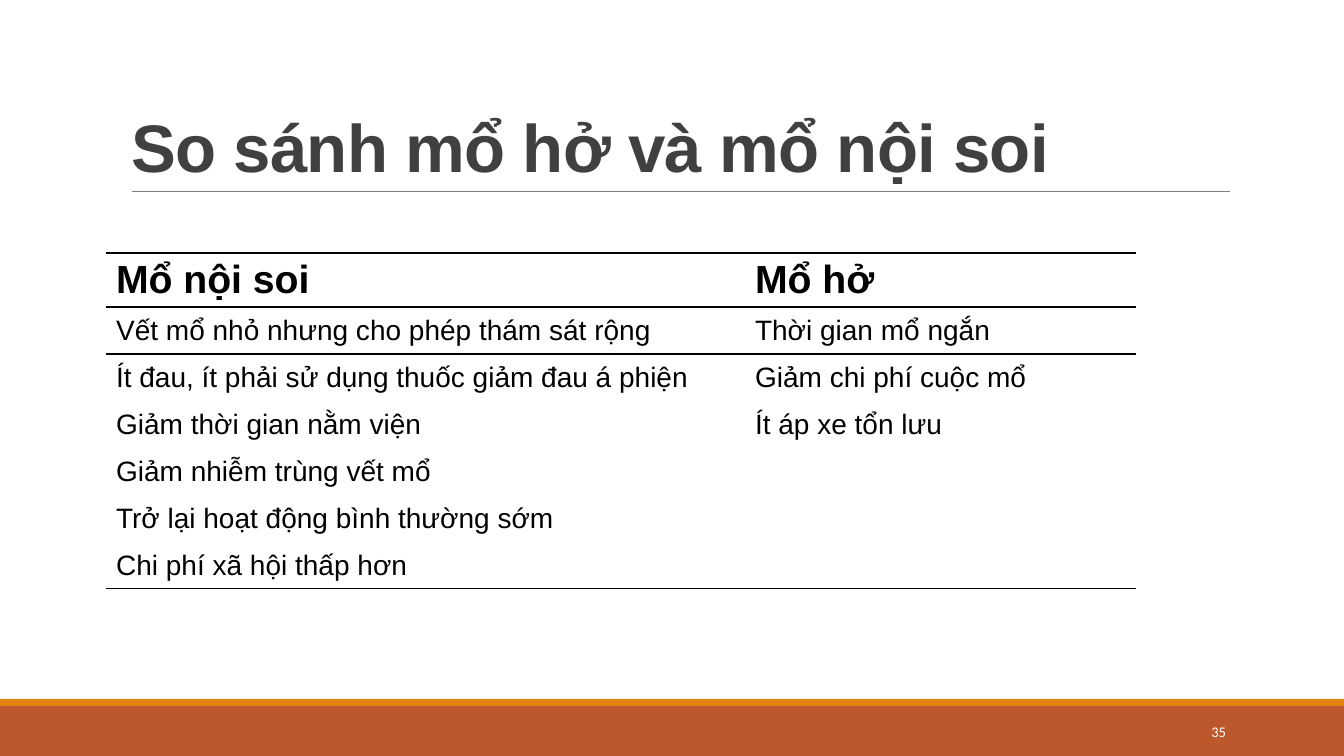
from lxml import etree
from pptx import Presentation
from pptx import util as u
from pptx.dml.color import RGBColor
from pptx.enum import shapes, text
from pptx.oxml import ns

SCALE = 12192000 / 1344  # EMU per px
WIDTH, HEIGHT = 1344, 756

BLACK = RGBColor(0x00, 0x00, 0x00)
WHITE = RGBColor(0xFF, 0xFF, 0xFF)
CHARCOAL = RGBColor(0x40, 0x40, 0x40)
GREY = RGBColor(0x80, 0x80, 0x80)
RUST = RGBColor(0xBD, 0x58, 0x2C)
ORANGE = RGBColor(0xE4, 0x83, 0x12)

HEADINGS = ("Mổ nội soi", "Mổ hở")
ROWS = [
    ("Vết mổ nhỏ nhưng cho phép thám sát rộng", "Thời gian mổ ngắn"),
    ("Ít đau, ít phải sử dụng thuốc giảm đau á phiện", "Giảm chi phí cuộc mổ"),
    ("Giảm thời gian nằm viện", "Ít áp xe tổn lưu"),
    ("Giảm nhiễm trùng vết mổ", ""),
    ("Trở lại hoạt động bình thường sớm", ""),
    ("Chi phí xã hội thấp hơn", ""),
]


def px(length):
    return u.Emu(round(length * SCALE))


class SlideBuilder:
    font = "Arial"

    def __init__(self, deck):
        self.page = deck.slides.add_slide(deck.slide_layouts[5])

    def add_span(self, para, words, size, color, bold=False, font=None):
        span = para.add_run()
        span.text = words
        span.font.name = font or self.font
        span.font.size = u.Pt(size)
        span.font.bold = bold
        span.font.color.rgb = color
        return span

    def band(self, left, top, width, height, color):
        bar = self.page.shapes.add_shape(
            shapes.MSO_SHAPE.RECTANGLE, px(left), px(top), px(width), px(height))
        bar.shadow.inherit = False
        bar.fill.solid()
        bar.fill.fore_color.rgb = color
        bar.line.fill.background()

    def rule(self, left, right, y, color, weight):
        line = self.page.shapes.add_connector(
            shapes.MSO_CONNECTOR.STRAIGHT, px(left), px(y), px(right), px(y))
        line.line.color.rgb = color
        line.line.width = u.Pt(weight)
        etree.SubElement(line._element.spPr, ns.qn("a:effectLst"))

    def title(self, left, top, width, height, words):
        box = self.page.shapes.title
        box.left, box.top, box.width, box.height = map(px, (left, top, width, height))
        frame = box.text_frame
        frame.auto_size = text.MSO_AUTO_SIZE.NONE
        frame.vertical_anchor = text.MSO_ANCHOR.BOTTOM
        para = frame.paragraphs[0]
        para.alignment = text.PP_ALIGN.LEFT
        para.line_spacing = 0.85
        span = self.add_span(para, words, 48, CHARCOAL, bold=True)
        span.font._element.set("spc", "-50")

    def label(self, left, top, width, height, words):
        box = self.page.shapes.add_textbox(px(left), px(top), px(width), px(height))
        frame = box.text_frame
        frame.word_wrap = True
        frame.vertical_anchor = text.MSO_ANCHOR.MIDDLE
        para = frame.paragraphs[0]
        para.alignment = text.PP_ALIGN.RIGHT
        self.add_span(para, words, 10.5, WHITE, font="Calibri")

    def borders(self, cell, ruled):
        props = cell._tc.get_or_add_tcPr()
        for index, side in enumerate(("lnL", "lnR", "lnT", "lnB")):
            edge = etree.Element(ns.qn(f"a:{side}"), w=str(u.Pt(1)))
            if side in ruled:
                fill = etree.SubElement(edge, ns.qn("a:solidFill"))
                etree.SubElement(fill, ns.qn("a:srgbClr"), val=str(BLACK))
            else:
                etree.SubElement(edge, ns.qn("a:noFill"))
            props.insert(index, edge)

    def table(self, left, top, widths, heights, rows, ruled_edges):
        grid = self.page.shapes.add_table(
            len(rows), len(widths), px(left), px(top),
            px(sum(widths)), px(sum(heights))).table
        grid.first_row = grid.horz_banding = False
        for column, width in zip(grid.columns, widths):
            column.width = px(width)
        for r, words_in_row in enumerate(rows):
            grid.rows[r].height = px(heights[r])
            ruled = [side for side, edge in (("lnT", r), ("lnB", r + 1))
                     if edge in ruled_edges]
            for c, words in enumerate(words_in_row):
                cell = grid.cell(r, c)
                cell.fill.background()
                self.borders(cell, ruled)
                if r:
                    cell.vertical_anchor = text.MSO_ANCHOR.MIDDLE
                if words:
                    self.add_span(cell.text_frame.paragraphs[0], words,
                                  20 if r else 28, BLACK, bold=r == 0)


def main():
    deck = Presentation()
    deck.slide_width, deck.slide_height = px(WIDTH), px(HEIGHT)
    slide = SlideBuilder(deck)

    # Footer bands and title rule
    slide.band(0, 706, WIDTH, 50, RUST)
    slide.band(0, 699, WIDTH, 7, ORANGE)
    slide.rule(132, 1230, 191, GREY, 0.5)

    # Title
    slide.title(121, 31, 1109, 160, "So sánh mổ hở và mổ nội soi")

    # Comparison table, ruled around the heading, first row and end
    rows = [HEADINGS] + ROWS
    slide.table(106, 253, (639, 391), [54] + [47] * len(ROWS), rows,
                ruled_edges={0, 1, 2, len(rows)})

    # Page number
    slide.label(1092, 712, 144, 40, "35")

    deck.save("out.pptx")


if __name__ == "__main__":
    main()
